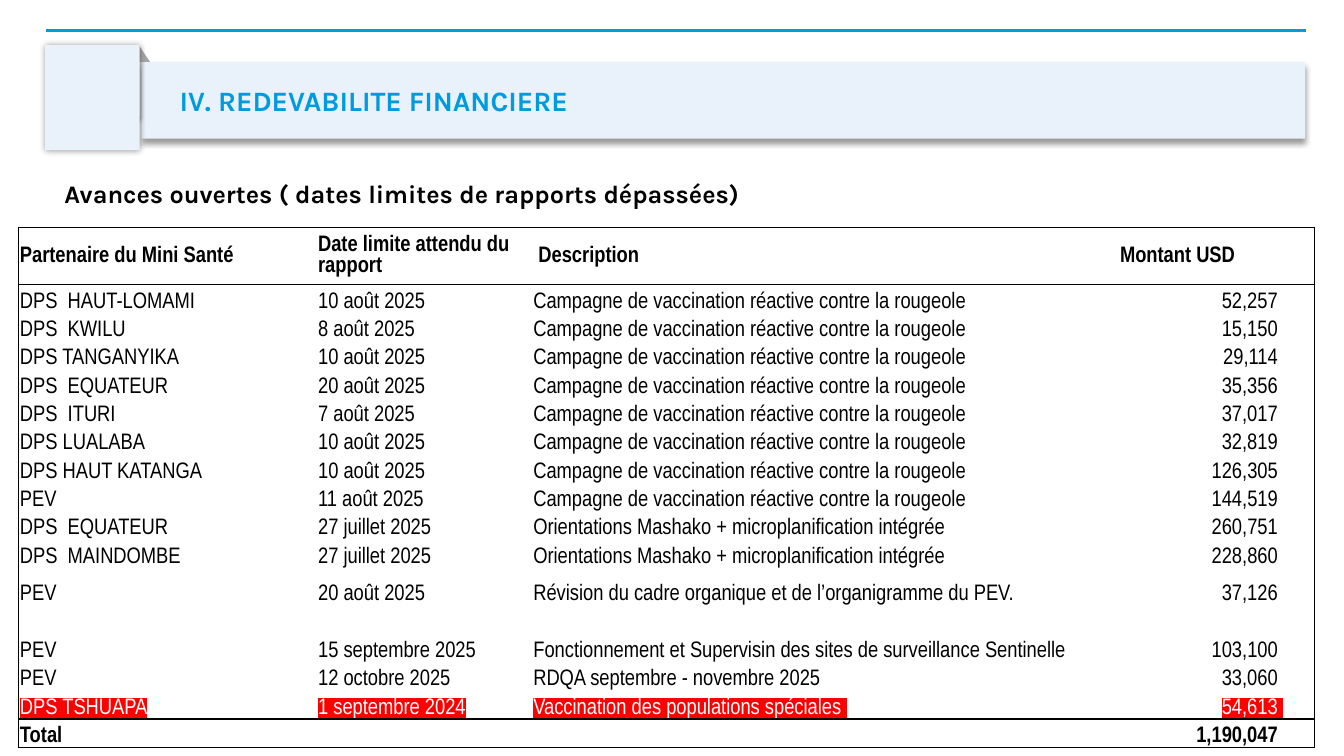
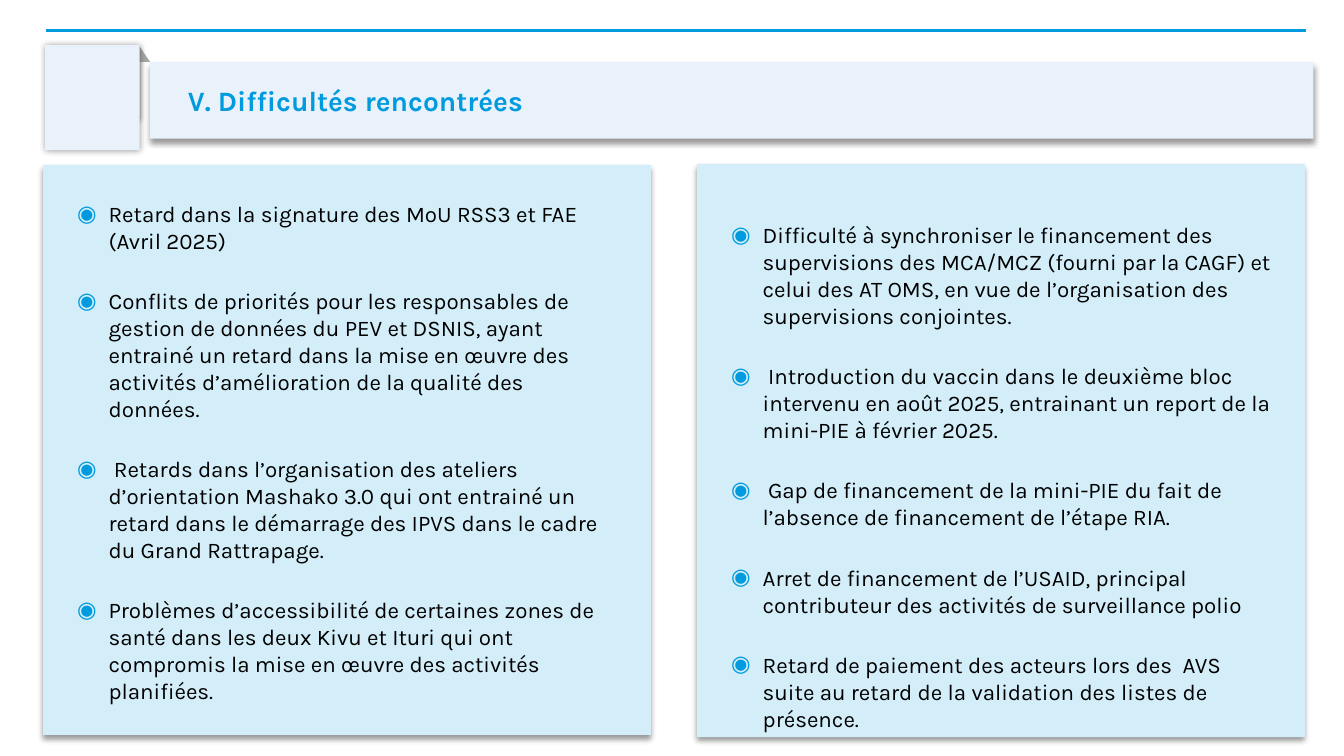
"""Build two slides: overdue financial advances and difficulties encountered."""
from typing import NamedTuple, Optional

from lxml.etree import SubElement
from pptx import Presentation
from pptx.dml.color import RGBColor
from pptx.enum.shapes import MSO_CONNECTOR, MSO_SHAPE
from pptx.enum.text import MSO_ANCHOR, PP_ALIGN
from pptx.oxml.ns import qn
from pptx.shapes.autoshape import Shape
from pptx.slide import Slide
from pptx.table import _Cell
from pptx.text.text import _Paragraph
from pptx.util import Emu, Pt

EMU_PER_PX = 9525

BLUE = RGBColor(0x00, 0x9A, 0xDE)
PALE_BLUE = RGBColor(0xE9, 0xF1, 0xFA)
PANEL_BLUE = RGBColor(0xD3, 0xEE, 0xF9)
LIGHT_GREY = RGBColor(0xF2, 0xF2, 0xF2)
MID_GREY = RGBColor(0xA6, 0xA6, 0xA6)
BLACK = RGBColor(0x00, 0x00, 0x00)
WHITE = RGBColor(0xFF, 0xFF, 0xFF)
RED = RGBColor(0xFF, 0x00, 0x00)

HEADING_FONT = "Karla"
TABLE_FONT = "Arial Narrow"
NO_STYLE_TABLE = "{2D5ABB26-0587-4C30-8999-92F81FD0307C}"


class Box(NamedTuple):
    left: int
    top: int
    width: int
    height: int


class Shadow(NamedTuple):
    blur: int
    distance: int
    degrees: int


class TextStyle(NamedTuple):
    font: str
    size: int
    color: RGBColor = BLACK
    bold: bool = False
    highlight: Optional[RGBColor] = None


class Advance(NamedTuple):
    partner: str
    deadline: str
    description: str
    amount: str
    height: int = 27


class Panel(NamedTuple):
    box: Box
    text_box: Box
    difficulties: tuple[str, ...]


DROP = Shadow(4, 3, 90)
GLOW = Shadow(5, 0, 0)

TITLE = TextStyle(HEADING_FONT, 20, BLUE, True)
SUBTITLE = TextStyle(HEADING_FONT, 18, bold=True)
BULLET = TextStyle(HEADING_FONT, 16)
ROW = TextStyle(TABLE_FONT, 16)
STRONG = ROW._replace(bold=True)
ALERT = ROW._replace(color=WHITE, highlight=RED)

MEASLES = "Campagne de vaccination réactive contre la rougeole"
MASHAKO = "Orientations Mashako + microplanification intégrée"
HEADER = Advance("Partenaire du Mini Santé", "Date limite attendu du rapport",
                 " Description", " Montant USD", 54)
ADVANCES = (
    Advance("DPS  HAUT-LOMAMI", "10 août 2025", MEASLES, "52,257"),
    Advance("DPS  KWILU", "8 août 2025", MEASLES, "15,150"),
    Advance("DPS TANGANYIKA", "10 août 2025", MEASLES, "29,114"),
    Advance("DPS  EQUATEUR", "20 août 2025", MEASLES, "35,356"),
    Advance("DPS  ITURI", "7 août 2025", MEASLES, "37,017"),
    Advance("DPS LUALABA", "10 août 2025", MEASLES, "32,819"),
    Advance("DPS HAUT KATANGA", "10 août 2025", MEASLES, "126,305"),
    Advance("PEV", "11 août 2025", MEASLES, "144,519"),
    Advance("DPS  EQUATEUR", "27 juillet 2025", MASHAKO, "260,751"),
    Advance("DPS  MAINDOMBE", "27 juillet 2025", MASHAKO, "228,860"),
    Advance("PEV", "20 août 2025",
            "Révision du cadre organique et de l’organigramme du PEV.", "37,126", 36),
    Advance("PEV", "15 septembre 2025",
            "Fonctionnement et Supervisin des sites de surveillance Sentinelle",
            "103,100", 54),
    Advance("PEV", "12 octobre 2025", "RDQA septembre - novembre 2025", "33,060"),
)
OVERDUE = Advance("DPS TSHUAPA", "1 septembre 2024",
                  "Vaccination des populations spéciales ", "54,613")
TOTAL = Advance("Total", "", "", "1,190,047")
COLUMN_WIDTHS = (284, 205, 554, 191)
AMOUNT_TAB = 160

PANELS = (
    Panel(Box(41, 157, 579, 543), Box(64, 186, 533, 485), (
        "Retard dans la signature des MoU RSS3 et FAE (Avril 2025)",
        "Conflits de priorités pour les responsables de gestion de données du PEV et "
        "DSNIS, ayant entrainé un retard dans la mise en œuvre des activités "
        "d’amélioration de la qualité des données.",
        " Retards dans l’organisation des ateliers d’orientation Mashako 3.0 qui ont "
        "entrainé un retard dans le démarrage des IPVS dans le cadre du Grand "
        "Rattrapage.",
        "Problèmes d’accessibilité de certaines zones de santé dans les deux Kivu et "
        "Ituri qui ont compromis la mise en œuvre des activités planifiées.",
    )),
    Panel(Box(664, 156, 579, 546), Box(687, 206, 540, 516), (
        "Difficulté à synchroniser le financement des supervisions des MCA/MCZ (fourni "
        "par la CAGF) et celui des AT OMS, en vue de l’organisation des supervisions "
        "conjointes.",
        " Introduction du vaccin dans le deuxième bloc intervenu en août 2025, "
        "entrainant un report de la mini-PIE à février 2025.",
        " Gap de financement de la mini-PIE du fait de l’absence de financement de "
        "l’étape RIA.",
        "Arret de financement de l’USAID, principal contributeur des activités de "
        "surveillance polio",
        "Retard de paiement des acteurs lors des  AVS suite au retard de la validation "
        "des listes de présence.",
    )),
)


def px(length: int) -> Emu:
    return Emu(length * EMU_PER_PX)


def place(box: Box) -> tuple[Emu, ...]:
    return tuple(px(length) for length in box)


def add_run(paragraph: _Paragraph, text: str, style: TextStyle) -> None:
    run = paragraph.add_run()
    run.text = text
    run.font.name = style.font
    run.font.size = Pt(style.size)
    run.font.bold = style.bold
    run.font.color.rgb = style.color
    if style.highlight is not None:
        properties = run.font._element
        highlight = SubElement(properties, qn("a:highlight"))
        SubElement(highlight, qn("a:srgbClr"), val=str(style.highlight))
        properties.find(qn("a:solidFill")).addnext(highlight)


def add_block(slide: Slide, preset: MSO_SHAPE, box: Box, color: RGBColor,
              shadow: Optional[Shadow] = None) -> Shape:
    block = slide.shapes.add_shape(preset, *place(box))
    block.fill.solid()
    block.fill.fore_color.rgb = color
    block.line.fill.background()
    block.shadow.inherit = False
    if shadow is not None:
        effects = block._element.spPr.find(qn("a:effectLst"))
        outer = SubElement(effects, qn("a:outerShdw"), blurRad=str(Pt(shadow.blur)),
                           dist=str(Pt(shadow.distance)), dir=str(shadow.degrees * 60000),
                           algn="ctr", rotWithShape="0")
        tint = SubElement(outer, qn("a:srgbClr"), val=str(BLACK))
        SubElement(tint, qn("a:alpha"), val="40000")
    return block


def add_heading(slide: Slide, title: str, banner_left: int) -> None:
    rule = slide.shapes.add_connector(MSO_CONNECTOR.STRAIGHT, px(44), px(29), px(1244), px(29))
    rule.line.color.rgb = BLUE
    rule.line.width = Pt(2.25)
    SubElement(rule._element.spPr, qn("a:effectLst"))

    banner = add_block(slide, MSO_SHAPE.RECTANGLE, Box(banner_left, 59, 1108, 73),
                       PALE_BLUE, DROP)
    frame = banner.text_frame
    frame.word_wrap = True
    frame.vertical_anchor = MSO_ANCHOR.MIDDLE
    frame.margin_left = px(36)
    frame.margin_top = frame.margin_right = frame.margin_bottom = 0
    frame.paragraphs[0].alignment = PP_ALIGN.LEFT
    add_run(frame.paragraphs[0], title, TITLE)

    add_block(slide, MSO_SHAPE.FLOWCHART_OFFPAGE_CONNECTOR, Box(48, 43, 85, 84),
              LIGHT_GREY, DROP)
    add_block(slide, MSO_SHAPE.RIGHT_TRIANGLE, Box(132, 43, 11, 16), MID_GREY)
    add_block(slide, MSO_SHAPE.RECTANGLE, Box(43, 43, 90, 100), PALE_BLUE, GLOW)


def set_borders(cell: _Cell, drawn_sides: str) -> None:
    properties = cell._tc.get_or_add_tcPr()
    for position, side in enumerate("LRTB"):
        border = SubElement(properties, qn(f"a:ln{side}"), w=str(Pt(1)))
        if side in drawn_sides:
            fill = SubElement(border, qn("a:solidFill"))
            SubElement(fill, qn("a:srgbClr"), val=str(BLACK))
        else:
            SubElement(border, qn("a:noFill"))
        properties.insert(position, border)


def fill_cell(cell: _Cell, text: str, style: TextStyle, anchor: MSO_ANCHOR,
              tabbed: bool) -> None:
    cell.fill.background()
    cell.margin_left = cell.margin_top = cell.margin_right = px(1)
    cell.margin_bottom = 0
    cell.vertical_anchor = anchor
    paragraph = cell.text_frame.paragraphs[0]
    if tabbed:
        tabs = SubElement(paragraph._p.get_or_add_pPr(), qn("a:tabLst"))
        SubElement(tabs, qn("a:tab"), pos=str(px(AMOUNT_TAB)), algn="r")
        text = f"\t{text} "
    if text:
        add_run(paragraph, text, style)
    else:
        SubElement(paragraph._p, qn("a:endParaRPr"), sz=str(style.size * 100))


def add_advances_table(slide: Slide) -> None:
    styled_rows = [(HEADER, STRONG), *((advance, ROW) for advance in ADVANCES),
                   (OVERDUE, ALERT), (TOTAL, STRONG)]
    height = sum(advance.height for advance, _ in styled_rows)
    box = Box(18, 217, sum(COLUMN_WIDTHS), height)
    table = slide.shapes.add_table(len(styled_rows), len(COLUMN_WIDTHS), *place(box)).table
    table.first_row = table.horz_banding = False
    table._tbl.tblPr.find(qn("a:tableStyleId")).text = NO_STYLE_TABLE
    for column, width in zip(table.columns, COLUMN_WIDTHS):
        column.width = px(width)

    last_column = len(COLUMN_WIDTHS) - 1
    for index, (advance, style) in enumerate(styled_rows):
        table.rows[index].height = px(advance.height)
        is_header = advance is HEADER
        anchor = MSO_ANCHOR.MIDDLE if is_header else MSO_ANCHOR.BOTTOM
        top = "T" if advance in (HEADER, ADVANCES[0], TOTAL) else ""
        bottom = "B" if advance in (HEADER, OVERDUE, TOTAL) else ""
        for column, text in enumerate(advance[:4]):
            cell = table.cell(index, column)
            fill_cell(cell, text, style, anchor, column == last_column and not is_header)
            left = "L" if column == 0 else ""
            right = "R" if column == last_column else ""
            set_borders(cell, left + right + top + bottom)


def add_panel(slide: Slide, panel: Panel) -> None:
    add_block(slide, MSO_SHAPE.RECTANGLE, panel.box, PANEL_BLUE, DROP)
    frame = slide.shapes.add_textbox(*place(panel.text_box)).text_frame
    frame.word_wrap = True
    for index, difficulty in enumerate(panel.difficulties):
        paragraph = frame.add_paragraph() if index else frame.paragraphs[0]
        properties = paragraph._p.get_or_add_pPr()
        properties.set("marL", str(px(30)))
        properties.set("indent", str(px(-30)))
        bullet_color = SubElement(properties, qn("a:buClr"))
        SubElement(bullet_color, qn("a:srgbClr"), val=str(BLUE))
        SubElement(properties, qn("a:buFont"), typeface=HEADING_FONT)
        SubElement(properties, qn("a:buChar"), char="◉")
        paragraph.space_before = Pt(12 if index else 0)
        paragraph.space_after = Pt(12)
        add_run(paragraph, difficulty, BULLET)


def main() -> None:
    deck = Presentation()
    deck.slide_width, deck.slide_height = px(1280), px(720)
    blank = deck.slide_layouts[6]

    finances = deck.slides.add_slide(blank)
    add_heading(finances, "IV. REDEVABILITE FINANCIERE", 135)
    subtitle = finances.shapes.add_textbox(*place(Box(52, 165, 1191, 38))).text_frame
    subtitle.word_wrap = True
    add_run(subtitle.paragraphs[0],
            "Avances ouvertes ( dates limites de rapports dépassées)", SUBTITLE)
    add_advances_table(finances)

    obstacles = deck.slides.add_slide(blank)
    add_heading(obstacles, "V. Difficultés rencontrées", 143)
    for panel in PANELS:
        add_panel(obstacles, panel)

    deck.save("out.pptx")


if __name__ == "__main__":
    main()
